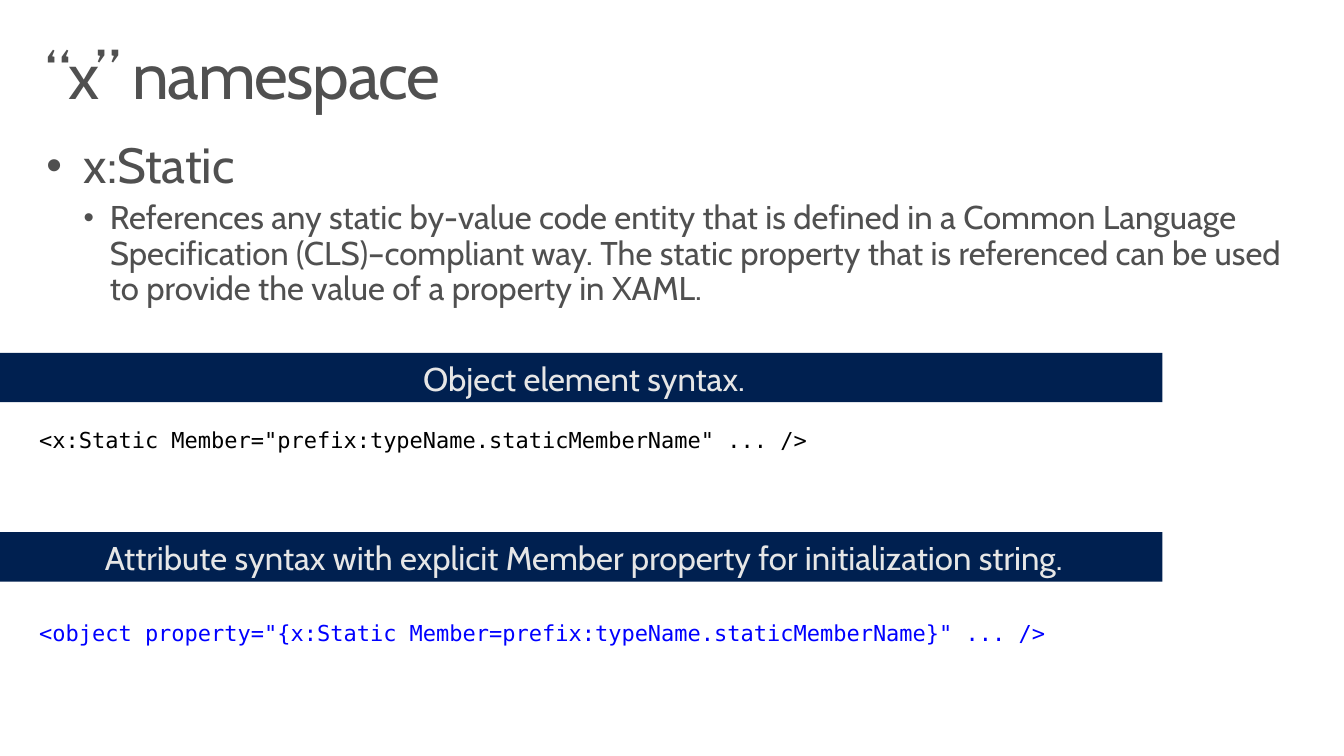
from lxml import etree
from pptx import Presentation
from pptx import util as u
from pptx.dml.color import RGBColor
from pptx.enum import shapes, text
from pptx.oxml.ns import qn

# Content
TITLE = "“x” namespace"
BULLETS = [  # text, level, size, left margin, hanging indent, space before
    ("x:Static", 0, 35.3, 0.37, 0.37, 0),
    ("References any static by-value code entity that is defined in a Common "
     "Language Specification (CLS)–compliant way. The static property that is "
     "referenced can be used to provide the value of a property in XAML.",
     1, 23.5, 0.63, 0.26, 4.7),
]
SECTIONS = [  # heading, band top, code, code top, code width, code colour
    ("Object element syntax.", 3.5,
     '<x:Static Member="prefix:typeName.staticMemberName" ... />',
     4.18, 9.4, "code"),
    ("Attribute syntax with explicit Member property for initialization string.", 5.28,
     '<object property="{x:Static Member=prefix:typeName.staticMemberName}" ... />',
     6.1, 10.73, "attribute"),
]
COLORS = {"background": "FFFFFF", "body": "505050", "band": "002050",
          "band_text": "E6E6E6", "code": "000000", "attribute": "0000FF"}
BODY_FONT, CODE_FONT = "Cabin", "DejaVu Sans Mono"
WIDE_INSETS = (0.16, 0.1, 0.16, 0.1)
BAND_INSETS = (0.1, 0.1, 0.04, 0.04)
CODE_INSETS = (0.1, 0.05, 0.1, 0.05)


def color(name):
    return RGBColor.from_string(COLORS[name])


def set_frame(shape, insets, anchor=text.MSO_ANCHOR.TOP, grow=False):
    frame = shape.text_frame
    frame.word_wrap = True
    frame.vertical_anchor = anchor
    frame.auto_size = (text.MSO_AUTO_SIZE.SHAPE_TO_FIT_TEXT if grow
                       else text.MSO_AUTO_SIZE.NONE)
    (frame.margin_left, frame.margin_top,
     frame.margin_right, frame.margin_bottom) = map(u.Inches, insets)
    return frame


def add_text_box(slide, left, top, width, height, insets, grow=False):
    box = slide.shapes.add_textbox(*map(u.Inches, (left, top, width, height)))
    return set_frame(box, insets, grow=grow)


def add_run(paragraph, words, size, color_name, font=BODY_FONT):
    run = paragraph.add_run()
    run.text = words
    run.font.size = u.Pt(size)
    run.font.name = font
    run.font.color.rgb = color(color_name)
    return run


def add_bullet(paragraph, margin, hanging):
    properties = paragraph._p.get_or_add_pPr()
    properties.set("marL", str(u.Inches(margin)))
    properties.set("indent", str(-u.Inches(hanging)))
    etree.SubElement(properties, qn("a:buSzPct")).set("val", "90000")
    etree.SubElement(properties, qn("a:buFont")).set("typeface", "Arial")
    etree.SubElement(properties, qn("a:buChar")).set("char", "•")


presentation = Presentation()
presentation.slide_width = u.Inches(13.33)
presentation.slide_height = u.Inches(7.5)
slide = presentation.slides.add_slide(presentation.slide_layouts[6])
slide.background.fill.solid()
slide.background.fill.fore_color.rgb = color("background")

# Title
paragraph = add_text_box(slide, 0.29, 0.32, 12.75, 0.98, WIDE_INSETS).paragraphs[0]
paragraph.line_spacing = 0.9
title_run = add_run(paragraph, TITLE, 47, "body")
title_run.font._element.set("spc", "-100")

# Bullets
frame = add_text_box(slide, 0.3, 1.3, 12.74, 1.88, WIDE_INSETS, grow=True)
for index, (words, level, size, margin, hanging, before) in enumerate(BULLETS):
    paragraph = frame.add_paragraph() if index else frame.paragraphs[0]
    add_bullet(paragraph, margin, hanging)
    paragraph.level = level
    paragraph.line_spacing = 0.9
    paragraph.space_before = u.Pt(before)
    add_run(paragraph, words, size, "body")

# Heading bands with their code lines
for heading, band_top, code, code_top, code_width, code_color in SECTIONS:
    band = slide.shapes.add_shape(shapes.MSO_SHAPE.RECTANGLE, 0, u.Inches(band_top),
                                  u.Inches(11.53), u.Inches(0.49))
    band.shadow.inherit = False
    band.fill.solid()
    band.fill.fore_color.rgb = color("band")
    band.line.fill.background()
    paragraph = set_frame(band, BAND_INSETS, text.MSO_ANCHOR.BOTTOM).paragraphs[0]
    paragraph.alignment = text.PP_ALIGN.CENTER
    add_run(paragraph, heading, 23.5, "band_text")

    frame = add_text_box(slide, 0.29, code_top, code_width, 0.36, CODE_INSETS, grow=True)
    add_run(frame.paragraphs[0], code, 15.7, code_color, CODE_FONT)

presentation.save("out.pptx")
